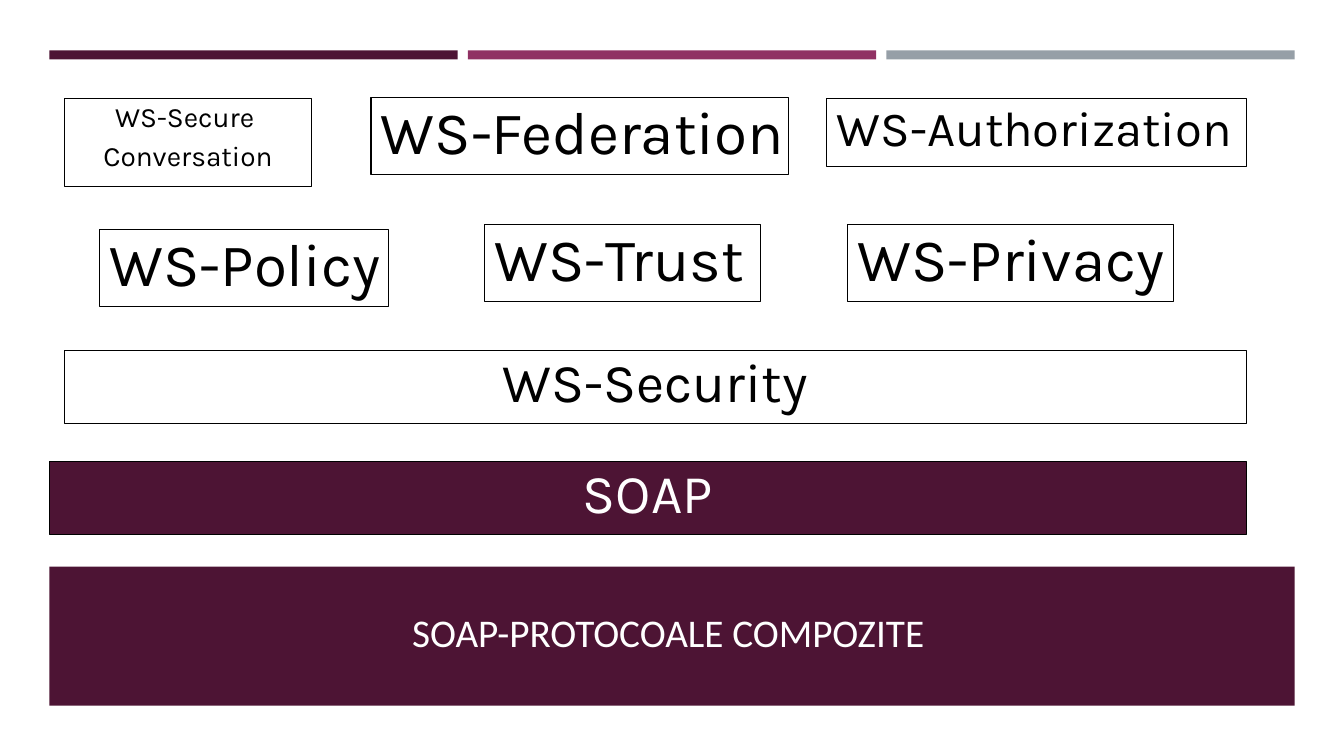
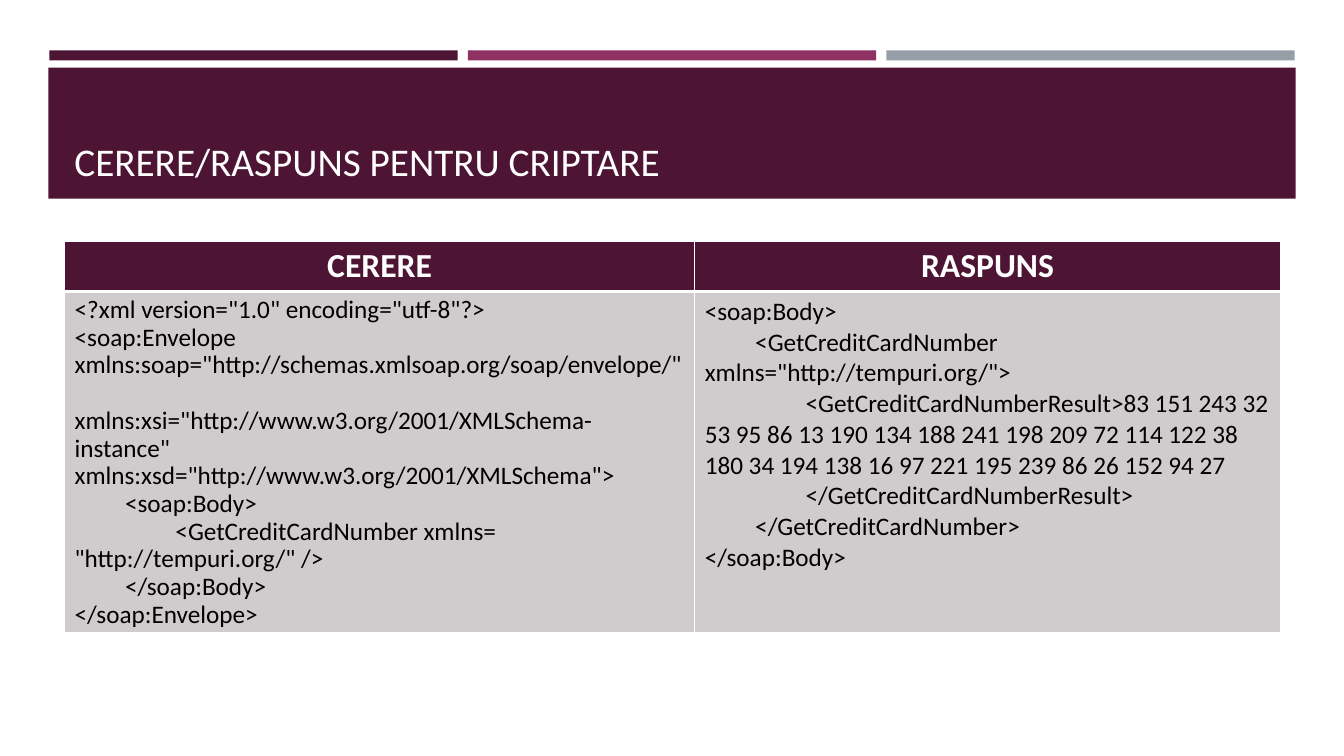
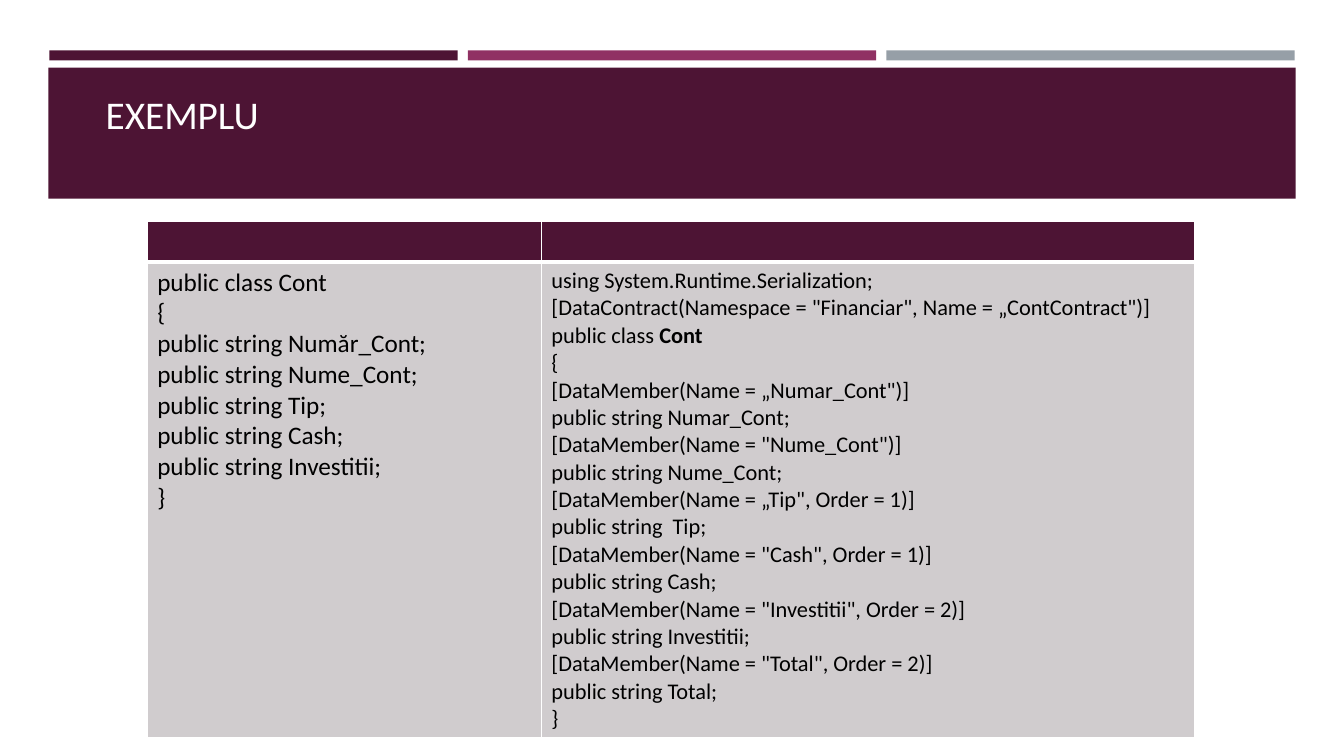
from pptx import Presentation
from pptx.dml.color import RGBColor
from pptx.enum.shapes import MSO_SHAPE
from pptx.enum.text import MSO_ANCHOR, PP_ALIGN
from pptx.oxml import parse_xml
from pptx.oxml.ns import nsdecls
from pptx.util import Inches, Pt

RECT = MSO_SHAPE.RECTANGLE
LEFT, CENTER = PP_ALIGN.LEFT, PP_ALIGN.CENTER
TOP, BOTTOM = MSO_ANCHOR.TOP, MSO_ANCHOR.BOTTOM


class Theme:
    plum, berry, steel = "4D1434", "903163", "969FA7"
    cell, white, black = "D0CCCE", "FFFFFF", "000000"
    body_font, box_font = "Calibri", "Karla"
    title, head, code, small_code = 28, 24, 18, 16
    box_large, box_wide, box_medium, box_small = 43, 39, 35, 20


WIDTH, HEIGHT = 13.33, 7.5
EDGE, MARGIN = 0.49, 0.64
BAR_WIDTH, BAR_GAP = 4.05, 0.1
TAB = 0.5

# ---- Content: a line is a string or (string, options) ----
STACK_TITLE = "SOAP-PROTOCOALE COMPOZITE "
# lines, (left, top, width, height), type size, alignment, fill
STACK = [
    (["SOAP"], (EDGE, 4.58, 11.87, 0.72), Theme.box_wide, CENTER, Theme.plum),
    (["WS-Security"], (MARGIN, 3.48, 11.72, 0.72), Theme.box_wide, CENTER, None),
    (["WS-Policy"], (0.99, 2.28, 2.86, 0.76), Theme.box_large, LEFT, None),
    (["WS-Trust"], (4.81, 2.23, 2.73, 0.76), Theme.box_large, LEFT, None),
    (["WS-Privacy"], (8.41, 2.23, 3.23, 0.76), Theme.box_large, LEFT, None),
    (["WS-Secure ", "Conversation"], (MARGIN, 0.98, 2.45, 0.87),
     Theme.box_small, CENTER, None),
    (["WS-Federation"], (3.68, 0.97, 4.14, 0.76), Theme.box_large, LEFT, None),
    (["WS-Authorization"], (8.2, 0.98, 4.16, 0.67), Theme.box_medium, LEFT, None),
]

REQUEST = [
    '<?xml version="1.0" encoding="utf-8"?>',
    '<soap:Envelope xmlns:soap="http://schemas.xmlsoap.org/soap/envelope/"',
    ('xmlns:xsi="http://www.w3.org/2001/XMLSchema-instance"', {"before": 19.8}),
    'xmlns:xsd="http://www.w3.org/2001/XMLSchema">',
    ("<soap:Body>", {"level": 1}),
    ('<GetCreditCardNumber xmlns= "http://tempuri.org/" />', {"level": 2}),
    ("</soap:Body>", {"level": 1}),
    "</soap:Envelope>",
]
RESPONSE = [
    "<soap:Body>",
    ('<GetCreditCardNumber xmlns="http://tempuri.org/">', {"level": 1}),
    ("<GetCreditCardNumberResult>83 151 243 32 53 95 86 13 190 134 188 241 198 "
     "209 72 114 122 38 180 34 194 138 16 97 221 195 239 86 26 152 94 27",
     {"level": 2}),
    ("</GetCreditCardNumberResult>", {"level": 2}),
    ("</GetCreditCardNumber>", {"level": 1}),
    "</soap:Body>",
]
PLAIN_CLASS = [
    "public class Cont",
    "{",
    "public string Număr_Cont;",
    "public string Nume_Cont;",
    "public string Tip;",
    "public string Cash;",
    "public string Investitii;",
    "}",
]
CONTRACT_CLASS = [
    "using System.Runtime.Serialization;",
    '[DataContract(Namespace = "Financiar", Name = „ContContract")]',
    ("public class ", {"bold_tail": "Cont"}),
    "{",
    '[DataMember(Name = „Numar_Cont")]',
    "public string Numar_Cont;",
    '[DataMember(Name = "Nume_Cont")]',
    "public string Nume_Cont;",
    '[DataMember(Name = „Tip", Order = 1)]',
    "public string  Tip;",
    '[DataMember(Name = "Cash", Order = 1)]',
    "public string Cash;",
    '[DataMember(Name = "Investitii", Order = 2)]',
    "public string Investitii;",
    '[DataMember(Name = "Total", Order = 2)]',
    "public string Total;",
    "}",
]

TABLE_SLIDES = [
    {"title": "CERERE/RASPUNS PENTRU CRIPTARE", "title_at": (MARGIN, 0.77, 12.06, 1.11),
     "at": (MARGIN, 2.39), "cols": (6.25, 5.81), "rows": (0.5, 3.39),
     "heads": ("CERERE", "RASPUNS"),
     "bodies": ((REQUEST, {"spacing": 0.9}), (RESPONSE, {}))},
    {"title": "EXEMPLU", "title_at": (0.95, 0.64, 9.58, 0.77),
     "at": (1.46, 2.2), "cols": (3.91, 6.48), "rows": (0.4, 4.72),
     "heads": (None, None),
     "bodies": ((PLAIN_CLASS, {}), (CONTRACT_CLASS, {"size": Theme.small_code}))},
]


# ---- Helpers ----
def rgb(value):
    return RGBColor.from_string(value)


def inches(values):
    return [Inches(v) for v in values]


def write(tf, lines, size=Theme.code, font=Theme.body_font, color=Theme.black,
          bold=False, align=LEFT, anchor=None, spacing=None, after=None):
    tf.word_wrap = True
    if anchor is not None:
        tf.vertical_anchor = anchor
    for i, line in enumerate(lines):
        text, options = (line, {}) if isinstance(line, str) else line
        p = tf.paragraphs[0] if i == 0 else tf.add_paragraph()
        p.alignment = align
        if spacing:
            p.line_spacing = spacing
        if after:
            p.space_after = Pt(after)
        if "before" in options:
            p.space_before = Pt(options["before"])
        if "level" in options:
            p_pr = p._p.get_or_add_pPr()
            p_pr.set("marL", "0")
            p_pr.set("indent", str(Inches(TAB * options["level"])))
        for part, heavy in ((text, bold), (options.get("bold_tail"), True)):
            if part:
                r = p.add_run()
                r.text = part
                r.font.size, r.font.name, r.font.bold = Pt(size), font, heavy
                r.font.color.rgb = rgb(color)


def add_rect(s, at, fill=None, line=None):
    sp = s.shapes.add_shape(RECT, *inches(at))
    sp.shadow.inherit = False
    if fill:
        sp.fill.solid()
        sp.fill.fore_color.rgb = rgb(fill)
    else:
        sp.fill.background()
    if line:
        sp.line.color.rgb = rgb(line)
        sp.line.width = Pt(0.75)
    else:
        sp.line.fill.background()
    return sp


def add_slide(prs, title, title_at, band_at, bar_height=0.1, align=LEFT):
    s = prs.slides.add_slide(prs.slide_layouts[6])
    for i, color in enumerate((Theme.plum, Theme.berry, Theme.steel)):
        left = EDGE + i * (BAR_WIDTH + BAR_GAP)
        add_rect(s, (left, 0.5, BAR_WIDTH, bar_height), color)
    add_rect(s, band_at, Theme.plum)
    tf = s.shapes.add_textbox(*inches(title_at)).text_frame
    write(tf, [title], size=Theme.title, color=Theme.white, align=align, anchor=BOTTOM)
    return s


def style_cell(cell, fill, bottom):
    tc_pr = cell._tc.get_or_add_tcPr()
    for i, (side, width) in enumerate(zip("LRTB", (1, 1, 1, bottom))):
        tc_pr.insert(i, parse_xml(
            f'<a:ln{side} {nsdecls("a")} w="{Pt(width)}"><a:solidFill>'
            f'<a:srgbClr val="{Theme.white}"/></a:solidFill></a:ln{side}>'))
    cell.fill.solid()
    cell.fill.fore_color.rgb = rgb(fill)


def add_code_table(s, at, cols, rows, heads, bodies):
    frame = s.shapes.add_table(2, len(cols), *inches((*at, sum(cols), sum(rows))))
    table = frame.table
    table.horz_banding = False
    for row, height in zip(table.rows, rows):
        row.height = Inches(height)
    for i, (width, head, (lines, look)) in enumerate(zip(cols, heads, bodies)):
        table.columns[i].width = Inches(width)
        top, body = table.cell(0, i), table.cell(1, i)
        style_cell(top, Theme.plum, 3)
        style_cell(body, Theme.cell, 1)
        if head:
            write(top.text_frame, [head], size=Theme.head, color=Theme.white,
                  bold=True, align=CENTER)
        write(body.text_frame, lines, **look)


# ---- Slides ----
def build_stack(prs):
    s = add_slide(prs, STACK_TITLE, (MARGIN, 5.76, 12.06, 0.79),
                  (EDGE, 5.62, 12.35, 1.38), bar_height=0.09, align=CENTER)
    for lines, at, size, align, fill in STACK:
        tf = add_rect(s, at, fill, Theme.black).text_frame
        if align == LEFT:
            tf.margin_right = 0
        write(tf, lines, size=size, font=Theme.box_font, align=align, anchor=TOP,
              color=Theme.white if fill else Theme.black, spacing=0.9, after=6)


def build_tables(prs):
    for item in TABLE_SLIDES:
        s = add_slide(prs, item["title"], item["title_at"], (0.48, 0.67, 12.37, 1.3))
        add_code_table(s, item["at"], item["cols"], item["rows"],
                       item["heads"], item["bodies"])


def main():
    prs = Presentation()
    prs.slide_width, prs.slide_height = inches((WIDTH, HEIGHT))
    build_stack(prs)
    build_tables(prs)
    prs.save("out.pptx")


if __name__ == "__main__":
    main()
